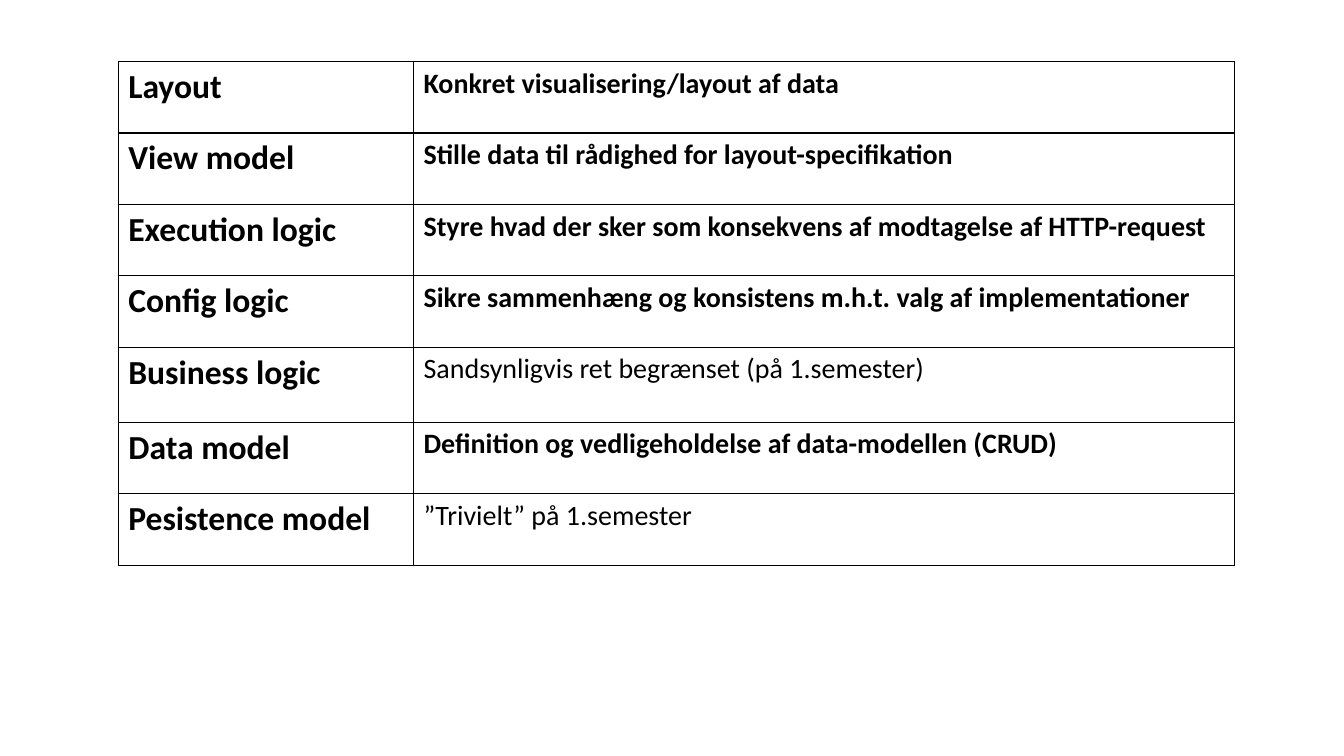
from dataclasses import dataclass

from lxml.etree import SubElement
from pptx import Presentation
from pptx.dml.color import RGBColor
from pptx.oxml.ns import qn
from pptx.util import Cm, Pt


@dataclass(frozen=True)
class Theme:
    font: str = "Calibri"
    ink: str = "000000"
    paper: str = "FFFFFF"
    layer_size: int = 24
    role_size: int = 20
    border: int = 1


theme = Theme()

# Each layer: name, role, whether the role is bold
layers = [
    ("Layout", "Konkret visualisering/layout af data", True),
    ("View model", "Stille data til rådighed for layout-specifikation", True),
    ("Execution logic", "Styre hvad der sker som konsekvens af modtagelse af HTTP-request", True),
    ("Config logic", "Sikre sammenhæng og konsistens m.h.t. valg af implementationer", True),
    ("Business logic", "Sandsynligvis ret begrænset (på 1.semester)", False),
    ("Data model", "Definition og vedligeholdelse af data-modellen (CRUD)", True),
    ("Pesistence model", "”Trivielt” på 1.semester", False),
]
column_widths = [Cm(7.44), Cm(20.69)]
row_height = Cm(1.8)
business_row_height = Cm(1.89)


def write_cell(cell, text, size, bold):
    cell.fill.solid()
    cell.fill.fore_color.rgb = RGBColor.from_string(theme.paper)
    span = cell.text_frame.paragraphs[0].add_run()
    span.text = text
    span.font.name = theme.font
    span.font.size = Pt(size)
    span.font.bold = bold
    span.font.color.rgb = RGBColor.from_string(theme.ink)


def outline_cell(cell):
    properties = cell.fill._xPr
    for position, side in enumerate(("lnL", "lnR", "lnT", "lnB")):
        line = SubElement(properties, qn(f"a:{side}"), w=str(Pt(theme.border)))
        fill = SubElement(line, qn("a:solidFill"))
        SubElement(fill, qn("a:srgbClr"), val=theme.ink)
        # Borders come before the cell fill
        properties.insert(position, line)


# Slide without a title
deck = Presentation()
deck.slide_width, deck.slide_height = Cm(33.87), Cm(19.05)
page = deck.slides.add_slide(deck.slide_layouts[6])

# Table of layers
frame = page.shapes.add_table(
    len(layers), len(column_widths), Cm(2.98), Cm(1.55),
    sum(column_widths), row_height * len(layers),
)
table = frame.table
table.first_row = table.horz_banding = False
for column, width in zip(table.columns, column_widths):
    column.width = width

for row, (layer, role, bold) in zip(table.rows, layers):
    row.height = business_row_height if layer == "Business logic" else row_height
    layer_cell, role_cell = row.cells
    write_cell(layer_cell, layer, theme.layer_size, True)
    write_cell(role_cell, role, theme.role_size, bold)
    for cell in row.cells:
        outline_cell(cell)

deck.save("out.pptx")
